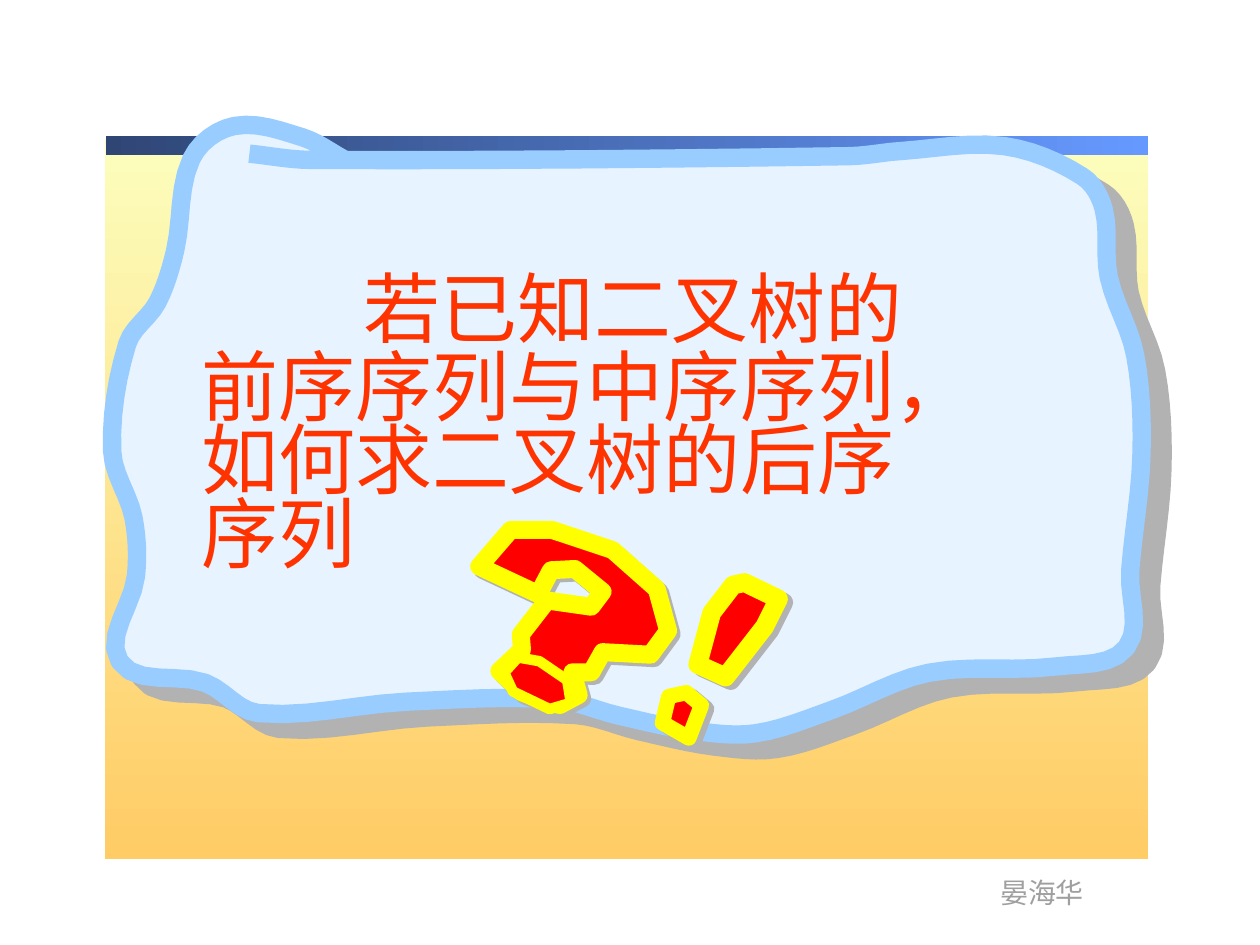
from math import cos, dist, radians, sin

from lxml.etree import SubElement
from pptx import Presentation
from pptx.dml.color import RGBColor
from pptx.enum.shapes import MSO_SHAPE
from pptx.oxml.ns import qn
from pptx.util import Pt

PX = 9144  # EMU per px, 100 px to the inch
CURVE_STEPS = 6
FONT = "Arial Narrow"
COLORS = {
    "cream": "FCFEBC", "amber": "FFCC66", "navy": "2F4675", "blue": "6699FF",
    "paper": "E7F3FF", "edge": "99CCFF", "shade": "B2B2B2", "red": "FF0000",
    "yellow": "FFFF00", "question": "FF3300", "author": "9F9F9F", "glow": "FFFFFF",
}

# Content
AUTHOR = "晏海华"
QUESTION = ["若已知二叉树的", "前序序列与中序序列，", "如何求二叉树的后序", "序列"]
QUESTION_INDENT = 129

# Background bands: left, top, width, height, first colour, last colour, angle
BANDS = [
    (83, 110, 828, 572, "cream", "amber", 270),
    (84, 108, 827, 15, "navy", "blue", 0),
]

# Knots of the torn paper's edge, joined by a smooth curve
PAPER = [
    (198, 122), (247, 127), (674, 124), (714, 120), (797, 116), (859, 140),
    (876, 166), (880, 220), (901, 282), (906, 360), (897, 453), (894, 514),
    (838, 529), (737, 534), (659, 564), (600, 582), (550, 580), (491, 568),
    (440, 555), (322, 557), (205, 566), (163, 542), (95, 525), (108, 457),
    (106, 411), (89, 358), (101, 273), (125, 240), (139, 199), (152, 126),
    (186, 100), (240, 109), (274, 127),
]

# Corners of the marks
QUESTION_HOOK = [
    (437, 453), (456, 452), (478, 470), (469, 482), (434, 477), (413, 504),
    (414, 516), (396, 533), (414, 550), (444, 560), (459, 552), (454, 534),
    (469, 534), (478, 518), (516, 520), (530, 501), (521, 468), (486, 437),
    (438, 421), (405, 421), (380, 450), (427, 472),
]
QUESTION_DOT = [(428, 525), (411, 522), (400, 534), (407, 549), (436, 563),
                (453, 558), (450, 540)]
EXCLAMATION_BAR = [(581, 465), (590, 463), (617, 476), (606, 498), (575, 538),
                   (553, 528), (564, 487)]
EXCLAMATION_DOT = [(545, 550), (531, 553), (526, 574), (547, 586), (557, 560)]

# Marks: outline, rotation, centre, line width, shadow (distance, direction)
MARKS = [
    (QUESTION_HOOK, 26.9, (446, 491), 10.25, (2.8, 45)),
    (QUESTION_DOT, 26.9, (428, 542), 6, None),
    (EXCLAMATION_BAR, 24, (581, 498), 10.75, (3.6, 34)),
    (EXCLAMATION_DOT, 24, (540, 566), 8.75, (3.6, 34)),
]


def smooth(knots):
    """Points along a curve through the knots, each handle a third of its chord."""
    headings = []
    for i in range(len(knots)):
        before, after = knots[max(i - 1, 0)], knots[min(i + 1, len(knots) - 1)]
        span = dist(before, after)
        headings.append([(b - a) / span for a, b in zip(before, after)])
    points = [knots[0]]
    for i, (start, end) in enumerate(zip(knots, knots[1:])):
        handle = dist(start, end) / 3
        leave = [p + handle * h for p, h in zip(start, headings[i])]
        arrive = [p - handle * h for p, h in zip(end, headings[i + 1])]
        for step in range(1, CURVE_STEPS + 1):
            t = step / CURVE_STEPS
            u = 1 - t
            points.append([u ** 3 * a + 3 * t * u * u * b + 3 * t * t * u * c + t ** 3 * d
                           for a, b, c, d in zip(start, leave, arrive, end)])
    return points


def rgb(name):
    return RGBColor.from_string(COLORS[name])


def add_shadow(effects, color, distance, direction):
    shadow = SubElement(effects, qn("a:outerShdw"), blurRad="0", dist=str(Pt(distance)),
                        dir=str(direction * 60000), algn="ctr", rotWithShape="0")
    SubElement(shadow, qn("a:srgbClr"), val=COLORS[color])


def add_outline(shapes, points, fill, line, width, shadow, closed=True,
                rotation=0, centre=(0, 0)):
    """Draw points as they end up once turned by rotation about centre."""
    c, s = cos(radians(rotation)), sin(radians(rotation))
    upright = []
    for x, y in points:
        dx, dy = x - centre[0], y - centre[1]
        upright.append(((centre[0] + dx * c + dy * s) * PX,
                        (centre[1] - dx * s + dy * c) * PX))
    builder = shapes.build_freeform(*upright[0])
    builder.add_line_segments(upright[1:], close=closed)
    outline = builder.convert_to_shape()
    outline.rotation = rotation
    outline.fill.solid()
    outline.fill.fore_color.rgb = rgb(fill)
    outline.line.color.rgb = rgb(line)
    outline.line.width = Pt(width)
    outline.shadow.inherit = False
    if shadow:
        add_shadow(outline._element.spPr.find(qn("a:effectLst")), "shade", *shadow)


def add_text(shapes, box, lines, size, color):
    frame = shapes.add_textbox(*(n * PX for n in box)).text_frame
    frame.word_wrap = False
    frame.text = "\n".join(lines)
    for paragraph in frame.paragraphs:
        paragraph.font.name = FONT
        paragraph.font.size = Pt(size)
        paragraph.font.color.rgb = rgb(color)
    return frame


prs = Presentation()
prs.slide_width, prs.slide_height = 1000 * PX, 750 * PX
shapes = prs.slides.add_slide(prs.slide_layouts[6]).shapes

# Background bands and author
for left, top, width, height, first, last, angle in BANDS:
    band = shapes.add_shape(MSO_SHAPE.RECTANGLE, left * PX, top * PX, width * PX, height * PX)
    band.shadow.inherit = False
    band.line.fill.background()
    band.fill.gradient()
    band.fill.gradient_angle = angle
    for stop, color in zip(band.fill.gradient_stops, (first, last)):
        stop.color.rgb = rgb(color)
add_text(shapes, (784, 690, 87, 37), [AUTHOR], 16, "author")

# Torn paper
add_outline(shapes, smooth(PAPER), "paper", "edge", 10.5, (15, 37), closed=False)

# Question
question = add_text(shapes, (150, 208, 637, 258), QUESTION, 44, "question")
question.margin_top = 13 * PX
for paragraph in question.paragraphs:
    paragraph.line_spacing = 0.8
    for run in paragraph.runs:
        add_shadow(SubElement(run._r.get_or_add_rPr(), qn("a:effectLst")), "glow", 2, 45)
opening = question.paragraphs[0]
opening._p.get_or_add_pPr().set("indent", str(QUESTION_INDENT * PX))
opening.space_after = Pt(2)

# Question and exclamation marks
for points, rotation, centre, width, shadow in MARKS:
    add_outline(shapes, points, "red", "yellow", width, shadow,
                rotation=rotation, centre=centre)

prs.save("out.pptx")
